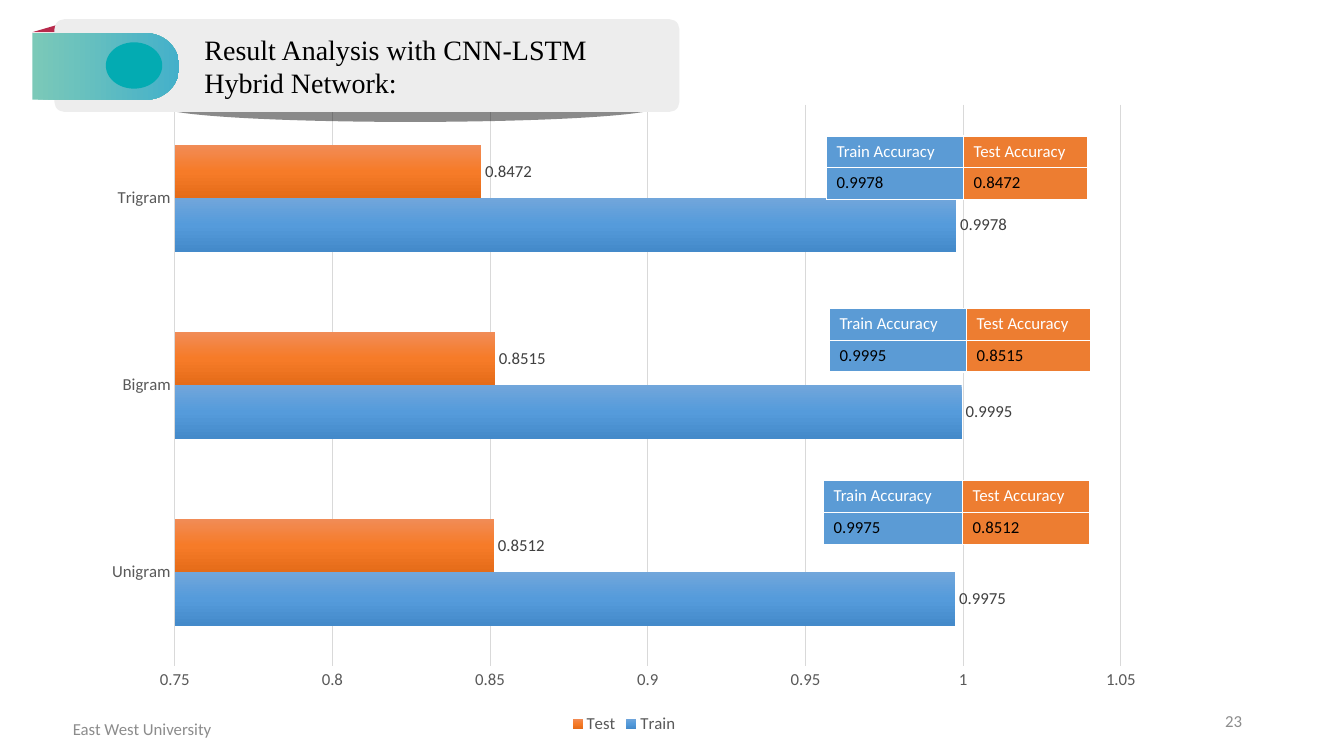
from copy import deepcopy

from lxml import etree
from pptx import Presentation, util as u
from pptx.chart.data import CategoryChartData
from pptx.dml.color import RGBColor
from pptx.enum import chart as ch, shapes, text
from pptx.oxml import ns

UNIT = u.Inches(0.1)
WIDE, HIGH = 133.33, 75

BLACK = RGBColor(0x00, 0x00, 0x00)
WHITE = RGBColor(0xFF, 0xFF, 0xFF)
AXIS_GREY = RGBColor(0x59, 0x59, 0x59)
LABEL_GREY = RGBColor(0x40, 0x40, 0x40)
FOOTER_GREY = RGBColor(0x8C, 0x8C, 0x8C)
LINE_GREY = RGBColor(0xD9, 0xD9, 0xD9)
PANEL_GREY = RGBColor(0xED, 0xED, 0xED)
BLUE = RGBColor(0x5B, 0x9B, 0xD5)
ORANGE = RGBColor(0xED, 0x7D, 0x31)
CRIMSON = RGBColor(0xB8, 0x2A, 0x4C)
TEAL = RGBColor(0x03, 0xAB, 0xB2)
TAB_BLEND = [RGBColor(0x7B, 0xC9, 0xB8), RGBColor(0x44, 0xB0, 0xCA)]
TRAIN_BLEND = [RGBColor(0x71, 0xA6, 0xDB), RGBColor(0x55, 0x9B, 0xDB), RGBColor(0x44, 0x8A, 0xCA)]
TEST_BLEND = [RGBColor(0xF1, 0x8C, 0x57), RGBColor(0xF6, 0x7B, 0x28), RGBColor(0xE5, 0x6C, 0x19)]

MODELS = ["Unigram", "Bigram", "Trigram"]
ACCURACY = {"Train": [0.9975, 0.9995, 0.9978], "Test": [0.8512, 0.8515, 0.8472]}


def grid(*cells):
    """Turn grid columns and rows into lengths."""
    return [int(cell * UNIT) for cell in cells]


def style_font(font, size=12, color=AXIS_GREY, name="Calibri"):
    """Set size, colour and typeface of a font."""
    font.size, font.name = u.Pt(size), name
    font.color.rgb = color


def write(frame, words, align=text.PP_ALIGN.LEFT, anchor=text.MSO_ANCHOR.TOP, **font):
    """Put one formatted paragraph into a text frame."""
    frame.word_wrap = True
    frame.vertical_anchor = anchor
    paragraph = frame.paragraphs[0]
    paragraph.alignment = align
    run = paragraph.add_run()
    run.text = words
    style_font(run.font, **font)


def blend(fill, owner, colors, angle):
    """Apply an evenly spaced gradient to a fill inside its owner element."""
    fill.gradient()
    fill.gradient_angle = angle
    stops = owner.find(".//" + ns.qn("a:gsLst"))
    while len(stops) < len(colors):
        stops.append(deepcopy(stops[0]))
    for index, (stop, color) in enumerate(zip(fill.gradient_stops, colors)):
        stop.position = index / (len(colors) - 1)
        stop.color.rgb = color


def add_label(slide, place, words, **style):
    """Add a text box on the grid."""
    write(slide.shapes.add_textbox(*grid(*place)).text_frame, words, **style)


def add_piece(banner, kind, place, color=None, adjust=()):
    """Add a borderless shape to the title banner."""
    piece = banner.shapes.add_shape(kind, *grid(*place))
    piece.shadow.inherit = False
    piece.line.fill.background()
    for index, value in enumerate(adjust):
        piece.adjustments[index] = value
    if color is not None:
        piece.fill.solid()
        piece.fill.fore_color.rgb = color
    return piece


def add_banner(slide):
    """Draw the title banner with its tab and soft base."""
    kinds = shapes.MSO_SHAPE
    banner = slide.shapes.add_group_shape()
    base = add_piece(banner, kinds.OVAL, (16.1, 9.1, 49.2, 3), BLACK)
    tint = base._element.spPr.find(".//" + ns.qn("a:srgbClr"))
    etree.SubElement(tint, ns.qn("a:alpha")).set("val", "46000")
    fold = add_piece(banner, kinds.RIGHT_TRIANGLE, (3.2, 2.2, 3.4, 1), CRIMSON)
    fold._element.spPr.find(ns.qn("a:xfrm")).set("flipH", "1")
    add_piece(banner, kinds.ROUNDED_RECTANGLE, (5.4, 1.9, 62, 9.2), PANEL_GREY, [0.107])
    tab = add_piece(banner, kinds.ROUND_2_SAME_RECTANGLE, (7.2, -0.7, 6.6, 14.6), adjust=[0.5, 0])
    tab.rotation = 90
    blend(tab.fill, tab._element.spPr, TAB_BLEND, 90)
    add_piece(banner, kinds.OVAL, (10.5, 4.2, 5.6, 4.6), TEAL)


def add_accuracy_chart(slide):
    """Add the clustered bars of train and test accuracy."""
    data = CategoryChartData()
    data.categories = MODELS
    for name, values in ACCURACY.items():
        data.add_series(name, values)
    chart = slide.shapes.add_chart(
        ch.XL_CHART_TYPE.BAR_CLUSTERED, *grid(9, 9.1, 105.8, 64.1), data).chart
    style_font(chart.font, 10, BLACK)
    chart.has_title = False
    chart.has_legend = True
    chart.legend.position = ch.XL_LEGEND_POSITION.BOTTOM
    chart.legend.include_in_layout = False
    style_font(chart.legend.font)

    models, scale = chart.category_axis, chart.value_axis
    for axis in (models, scale):
        axis.major_tick_mark = axis.minor_tick_mark = ch.XL_TICK_MARK.NONE
        style_font(axis.tick_labels.font)
    models.format.line.color.rgb = LINE_GREY
    models.format.line.width = u.Pt(1)
    scale.format.line.fill.background()
    scale.minimum_scale, scale.maximum_scale, scale.major_unit = 0.75, 1.05, 0.05
    scale.major_gridlines.format.line.color.rgb = LINE_GREY
    scale.major_gridlines.format.line.width = u.Pt(0.75)

    bars = chart.plots[0]
    bars.gap_width, bars.overlap, bars.vary_by_categories = 150, 0, False
    for series, colors in zip(bars.series, (TRAIN_BLEND, TEST_BLEND)):
        blend(series.format.fill, series._element, colors, 270)
        labels = series.data_labels
        labels.show_value = True
        labels.position = ch.XL_LABEL_POSITION.OUTSIDE_END
        style_font(labels.font, color=LABEL_GREY)


def outline_cell(cell):
    """Give a table cell thin white borders on every side."""
    properties = cell._tc.get_or_add_tcPr()
    for index, side in enumerate(("a:lnL", "a:lnR", "a:lnT", "a:lnB")):
        border = etree.Element(ns.qn(side), w=str(u.Pt(1)))
        paint = etree.SubElement(border, ns.qn("a:solidFill"))
        etree.SubElement(paint, ns.qn("a:srgbClr"), val=str(WHITE))
        properties.insert(index, border)


def add_accuracy_table(slide, model, left, top, widths):
    """Add the small train and test table of one model."""
    table = slide.shapes.add_table(2, 2, *grid(left, top, sum(widths), 6.3)).table
    columns = zip(ACCURACY.items(), widths, (BLUE, ORANGE))
    for column, ((name, values), width, color) in enumerate(columns):
        table.columns[column].width = int(width * UNIT)
        entries = ((f"{name} Accuracy", WHITE), (f"{values[model]:.4f}", BLACK))
        for row, (words, ink) in enumerate(entries):
            cell = table.cell(row, column)
            cell.fill.solid()
            cell.fill.fore_color.rgb = color
            outline_cell(cell)
            write(cell.text_frame, words, color=ink)


def main():
    """Build the slide and save it."""
    deck = Presentation()
    deck.slide_width, deck.slide_height = grid(WIDE, HIGH)
    slide = deck.slides.add_slide(deck.slide_layouts[6])
    add_accuracy_chart(slide)
    tables = ((2, 82, (13.6, 12.3)), (1, 82.3, (13.6, 12.3)), (0, 81.7, (13.8, 12.6)))
    for order, (model, left, widths) in enumerate(tables):
        add_accuracy_table(slide, model, left, 13.5 + 17.1 * order, widths)
    middle = text.MSO_ANCHOR.MIDDLE
    add_label(slide, (0, 70.3, 28.2, 4), "East West University",
              align=text.PP_ALIGN.CENTER, anchor=middle, color=FOOTER_GREY)
    add_label(slide, (94.2, 69.5, 30, 4), "23",
              align=text.PP_ALIGN.RIGHT, anchor=middle, color=FOOTER_GREY)
    add_banner(slide)
    add_label(slide, (19.3, 2.7, 46, 7.7), "Result Analysis with CNN-LSTM Hybrid Network:",
              size=20, color=BLACK, name="Times New Roman")
    deck.save("out.pptx")


if __name__ == "__main__":
    main()
